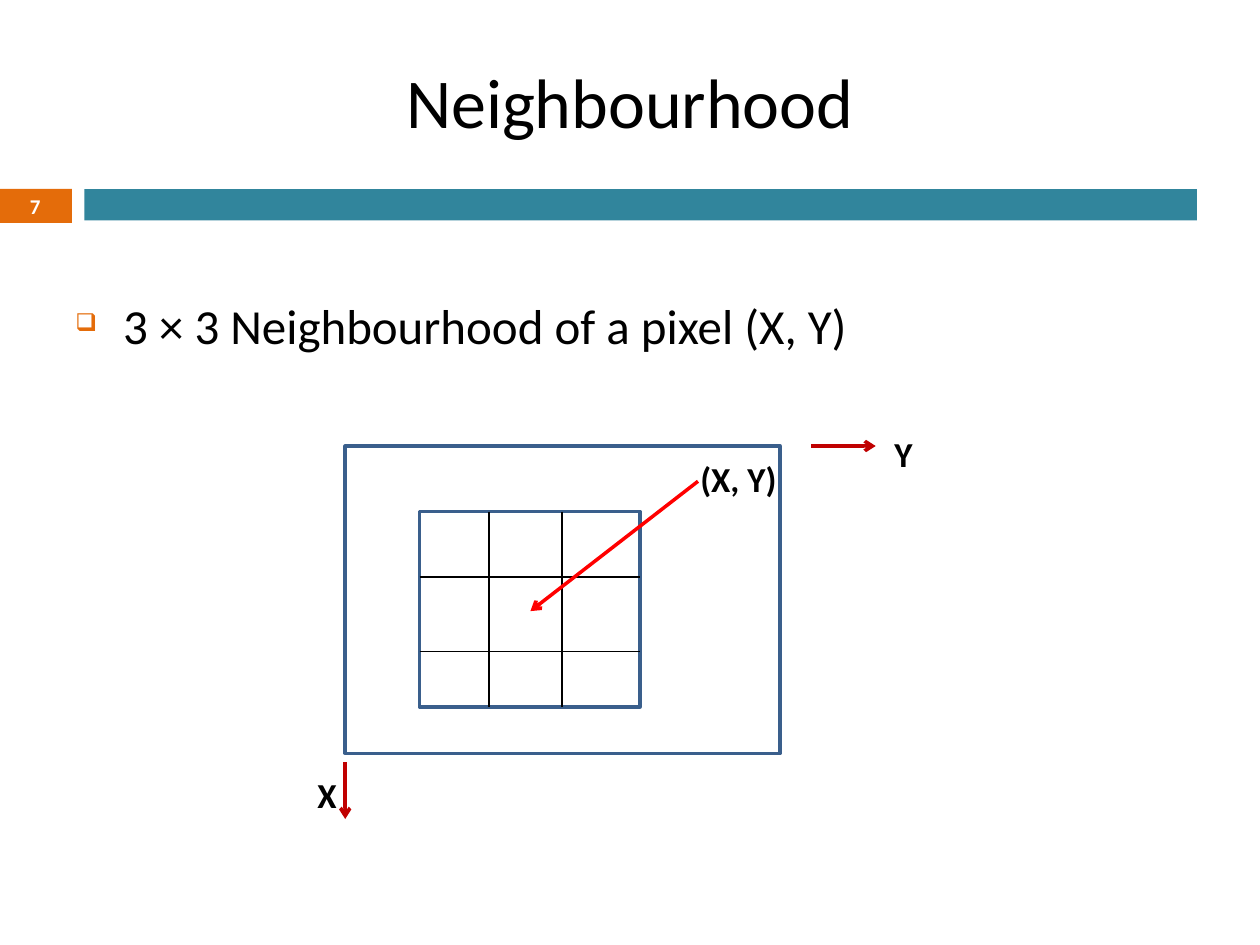
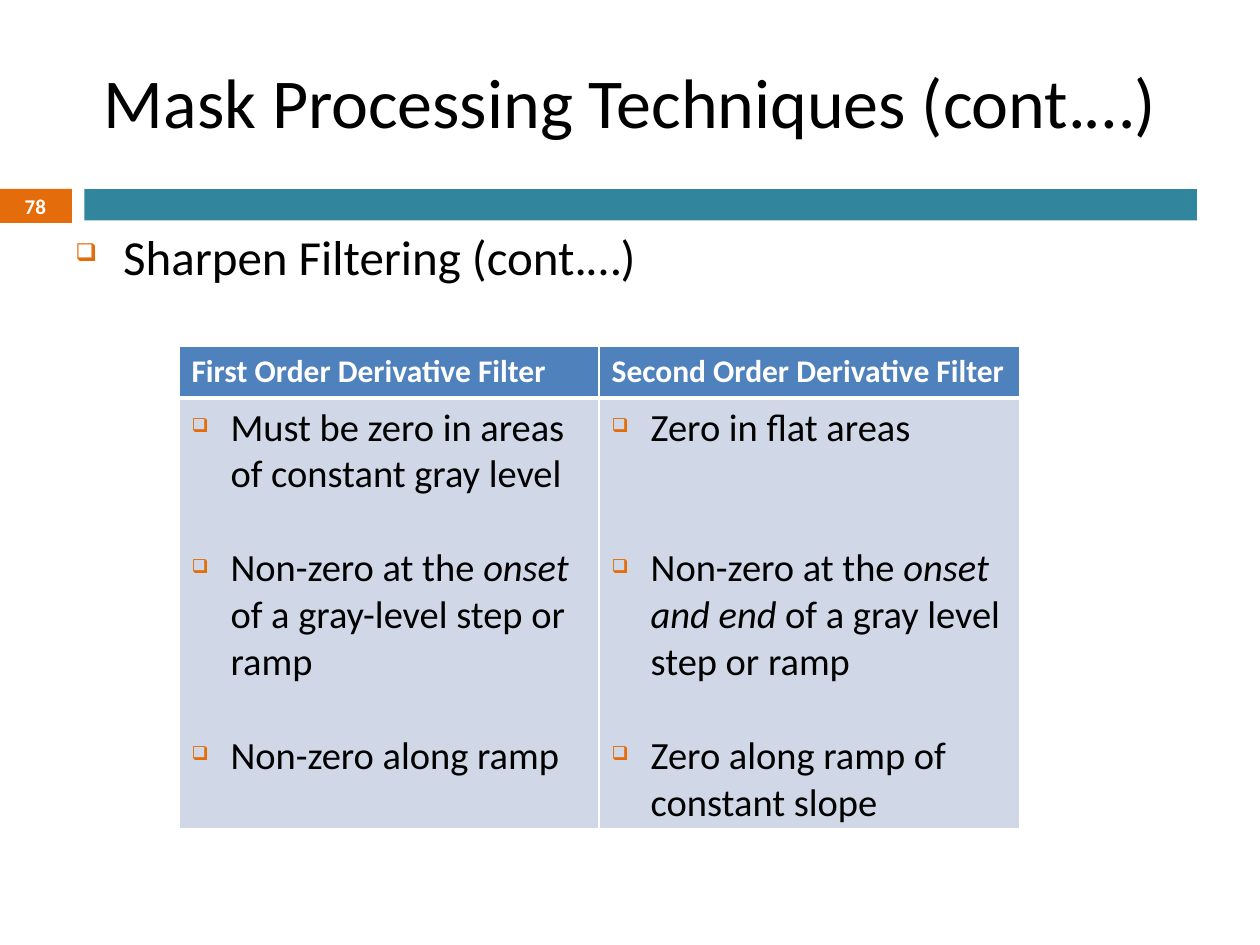
import pptx
import pptx.chart.data
import pptx.dml.color
import pptx.enum.shapes
import pptx.enum.text
import pptx.oxml.ns
import pptx.util
from lxml import etree

Inches, Pt = pptx.util.Inches, pptx.util.Pt
ALIGN, ANCHOR = pptx.enum.text.PP_ALIGN, pptx.enum.text.MSO_ANCHOR
qn = pptx.oxml.ns.qn

FONT = "Calibri"
BLACK, WHITE, ORANGE, TEAL = "000000", "FFFFFF", "E46C0A", "31859C"
OUTLINE, RED, DARK_RED = "3A5F8C", "FF0000", "C00000"
HEADER_BLUE, ROW_BLUE = "4F81BD", "D0D8E8"

# Title, slide number, bullet, top of the bullet box
NEIGHBOURHOOD = ("Neighbourhood", "7", "3 × 3 Neighbourhood of a pixel (X, Y)", 2.3)
MASKS = ("Mask Processing Techniques (cont.…)", "78", "Sharpen Filtering (cont.…)", 1.75)

IMAGE_FRAME = (2.74, 3.54, 3.45, 2.44)
PIXEL_GRID = (3.33, 4.06, 1.75, 1.55)
COLUMN_EDGES = (3.88, 4.46)
ROW_EDGES = (4.58, 5.17)
ARROWS = [  # from, to, colour
    ((5.54, 3.82), (4.21, 4.85), RED),
    ((6.44, 3.54), (6.95, 3.54), DARK_RED),
    ((2.74, 6.05), (2.74, 6.5), DARK_RED),
]
LABELS = [("(X, Y)", 5.46, 3.58), ("X", 2.42, 6.09), ("Y", 7, 3.38)]

# Each point: blank lines above it, then (text, italic) pieces
FILTERS = {
    "First Order Derivative Filter": [
        (0, [("Must be zero in areas of constant gray level", False)]),
        (1, [("Non-zero at the ", False), ("onset", True),
             (" of a gray-level step or ramp", False)]),
        (1, [("Non-zero along ramp", False)]),
    ],
    "Second Order Derivative Filter": [
        (0, [("Zero in flat areas", False)]),
        (2, [("Non-zero at the ", False), ("onset and end", True),
             (" of a gray level step or ramp", False)]),
        (1, [("Zero along ramp of constant slope", False)]),
    ],
}
POINT_SIZE = 22
LINE_HEIGHT = 1.22 * POINT_SIZE


def rgb(color):
    return pptx.dml.color.RGBColor.from_string(color)


def style(p, size, color=BLACK, bold=False):
    for r in p.runs:
        r.font.name, r.font.size, r.font.bold = FONT, Pt(size), bold
        r.font.color.rgb = rgb(color)


def add_bullet(p, indent):
    pPr = p._p.get_or_add_pPr()
    pPr.set("marL", str(Inches(indent)))
    pPr.set("indent", str(-Inches(indent)))
    color = etree.SubElement(pPr, qn("a:buClr"))
    etree.SubElement(color, qn("a:srgbClr"), val=ORANGE)
    etree.SubElement(pPr, qn("a:buSzPct"), val="50000")
    etree.SubElement(pPr, qn("a:buChar"), char="❑")


def add_text(s, text, box, size, bold=False, wrap=True):
    tf = s.shapes.add_textbox(*map(Inches, box)).text_frame
    tf.word_wrap = wrap
    tf.text = text
    style(tf.paragraphs[0], size, bold=bold)
    return tf


def add_box(s, box, fill=None, line=None):
    sp = s.shapes.add_shape(pptx.enum.shapes.MSO_SHAPE.RECTANGLE, *map(Inches, box))
    sp.shadow.inherit = False
    if fill:
        sp.fill.solid()
        sp.fill.fore_color.rgb = rgb(fill)
    else:
        sp.fill.background()
    if line:
        sp.line.color.rgb = rgb(line)
        sp.line.width = Pt(2)
    else:
        sp.line.fill.background()
    return sp


def add_line(s, start, end, color=BLACK, width=0.75, arrow=False):
    line = s.shapes.add_connector(pptx.enum.shapes.MSO_CONNECTOR.STRAIGHT,
                                  *map(Inches, start + end))
    line.line.color.rgb = rgb(color)
    line.line.width = Pt(width)
    if arrow:
        etree.SubElement(line.line._get_or_add_ln(), qn("a:tailEnd"), type="arrow")
    etree.SubElement(line._element.spPr, qn("a:effectLst"))


def add_slide(prs, title, number, bullet, bullet_top):
    """Add a slide with its title, number tag, band and leading bullet."""
    s = prs.slides.add_slide(prs.slide_layouts[6])
    tf = add_text(s, title, (0.5, 0.17, 9, 1.25), 40)
    tf.vertical_anchor = ANCHOR.MIDDLE
    tf.paragraphs[0].alignment = ALIGN.CENTER

    tf = add_text(s, bullet, (0.5, bullet_top, 9, 0.6), 28)
    add_bullet(tf.paragraphs[0], 0.38)

    tf = add_box(s, (-0.01, 1.5, 0.58, 0.27), ORANGE).text_frame
    tf.text = number
    tf.vertical_anchor = ANCHOR.MIDDLE
    tf.paragraphs[0].alignment = ALIGN.CENTER
    style(tf.paragraphs[0], 12, WHITE, bold=True)

    add_box(s, (0.67, 1.5, 8.83, 0.25), TEAL)
    return s


def draw_neighbourhood(s):
    add_box(s, IMAGE_FRAME, line=OUTLINE)
    add_box(s, PIXEL_GRID, line=OUTLINE)
    left, top, width, height = PIXEL_GRID
    for x in COLUMN_EDGES:
        add_line(s, (x, top), (x, top + height))
    for y in ROW_EDGES:
        add_line(s, (left, y), (left + width, y))
    for start, end, color in ARROWS:
        add_line(s, start, end, color, 2, arrow=True)
    for text, x, y in LABELS:
        add_text(s, text, (x, y, 0.83, 0.44), 20, bold=True, wrap=False)


def format_cell(cell, fill, top, bottom):
    """Give a cell white borders (top and bottom widths in points) and a fill."""
    tcPr = cell._tc.get_or_add_tcPr()
    for side, width in (("L", 1), ("R", 1), ("T", top), ("B", bottom)):
        ln = etree.SubElement(tcPr, qn("a:ln" + side), w=str(Pt(width)))
        paint = etree.SubElement(ln, qn("a:solidFill"))
        etree.SubElement(paint, qn("a:srgbClr"), val=WHITE)
    cell.fill.solid()
    cell.fill.fore_color.rgb = rgb(fill)


def draw_filter_table(s):
    frame = s.shapes.add_table(2, len(FILTERS), Inches(1.42), Inches(2.75),
                               Inches(6.67), Inches(3.81))
    table = frame.table
    table.rows[0].height, table.rows[1].height = Inches(0.41), Inches(3.4)
    for col, (heading, points) in enumerate(FILTERS.items()):
        head, body = table.cell(0, col), table.cell(1, col)
        format_cell(head, HEADER_BLUE, 1, 3)
        format_cell(body, ROW_BLUE, 3, 1)
        head.text_frame.text = heading
        style(head.text_frame.paragraphs[0], 18, WHITE, bold=True)

        tf = body.text_frame
        for i, (blank_lines, pieces) in enumerate(points):
            p = tf.add_paragraph() if i else tf.paragraphs[0]
            add_bullet(p, 0.31)
            if blank_lines:
                p.space_before = Pt(blank_lines * LINE_HEIGHT)
            for text, italic in pieces:
                r = p.add_run()
                r.text = text
                r.font.italic = italic
            style(p, POINT_SIZE)


def main():
    prs = pptx.Presentation()
    prs.slide_width, prs.slide_height = Inches(10), Inches(7.5)
    draw_neighbourhood(add_slide(prs, *NEIGHBOURHOOD))
    draw_filter_table(add_slide(prs, *MASKS))
    prs.save("out.pptx")


if __name__ == "__main__":
    main()
